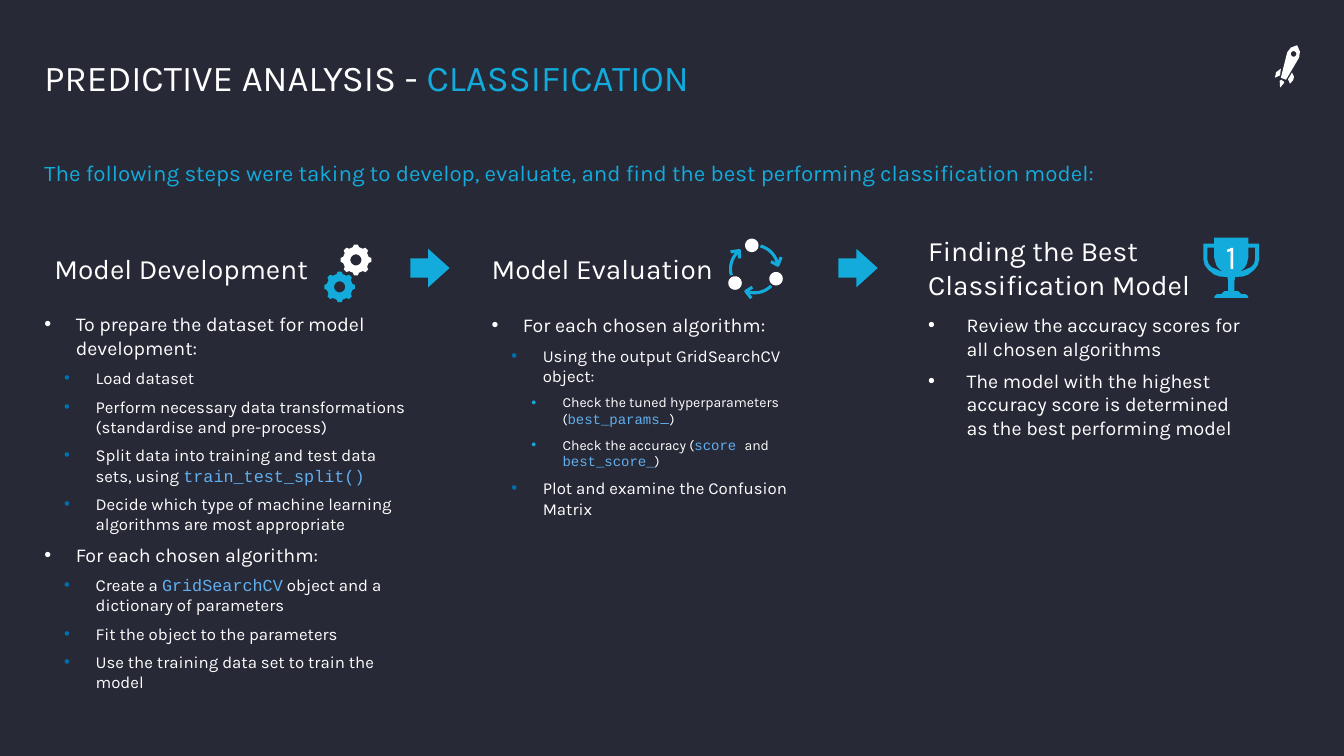
import math

import pptx
import pptx.dml.color
import pptx.enum.shapes
import pptx.enum.text
import pptx.oxml
import pptx.oxml.ns
import pptx.util

Cm, Pt = pptx.util.Cm, pptx.util.Pt
RGB = pptx.dml.color.RGBColor.from_string
SHAPE = pptx.enum.shapes.MSO_SHAPE
ANCHOR = pptx.enum.text.MSO_ANCHOR
ALIGN = pptx.enum.text.PP_ALIGN

THEME = {
    "bg": "272936", "accent": "12ABDB", "white": "FFFFFF",
    "title": 26, "intro": 16, "heading": 20, "trophy": 24,
    "body": [14, 12, 10],
    "bullet": ["FFFFFF", "0070AD", "12ABDB"],
    # Run styles: plain, accent, code, code colour in the text font
    "p": ("Karla", "FFFFFF"), "a": ("Karla", "12ABDB"),
    "c": ("Courier New", "61AFEF"), "k": ("Karla", "61AFEF"),
}


def write(text, tf, size=None, level=None, styles="pcpcp", hang=0.79, after=6, spacing=None, align=None):
    """Add a paragraph; backticks part the runs, styles names each run's look."""
    p = tf.paragraphs[0] if not tf.text else tf.add_paragraph()
    p.space_after, p.line_spacing, p.alignment = Pt(after), spacing, align
    if level is not None:
        size = THEME["body"][level]
        p.level = level
        pPr = p._p.get_or_add_pPr()
        pPr.set("marL", str(Cm(hang + 0.5 * level)))
        pPr.set("indent", str(-Cm(hang)))
        ns = pptx.oxml.ns.nsdecls("a")
        for xml in (f'<a:buClr {ns}><a:srgbClr val="{THEME["bullet"][level]}"/></a:buClr>',
                    f'<a:buFont {ns} typeface="Arial"/>', f'<a:buChar {ns} char="•"/>'):
            pPr.append(pptx.oxml.parse_xml(xml))
    for part, style in zip(text.split("`"), styles):
        r = p.add_run()
        r.text = part
        r.font.size = Pt(size)
        r.font.name, color = THEME[style]
        r.font.color.rgb = RGB(color)


def outline(contours, color, stroke=None):
    """Draw contours given in cm as one filled shape, or as open strokes."""
    fb = None
    for contour in contours:
        pts = [(x * 1000, y * 1000) for x, y in contour]
        if fb is None:
            fb = s.shapes.build_freeform(*pts[0], scale=Cm(1) / 1000)
        else:
            fb.move_to(*pts[0])
        fb.add_line_segments(pts[1:], close=stroke is None)
    sp = fb.convert_to_shape()
    sp.shadow.inherit = False
    if stroke:
        sp.fill.background()
        sp.line.color.rgb = RGB(color)
        sp.line.width = Pt(stroke)
    else:
        sp.fill.solid()
        sp.fill.fore_color.rgb = RGB(color)
        sp.line.fill.background()
    return sp


prs = pptx.Presentation()
prs.slide_width, prs.slide_height = Cm(33.87), Cm(19.05)
s = prs.slides.add_slide(prs.slide_layouts[6])
s.background.fill.solid()
s.background.fill.fore_color.rgb = RGB(THEME["bg"])

# Text boxes: left, top, width, height, anchor, whether the box has margins
boxes = {
    "title": (1.12, 0.53, 30.4, 1.98, ANCHOR.BOTTOM, False),
    "intro": (1.12, 4.01, 31.67, 1.93, ANCHOR.TOP, False),
    "develop head": (1.12, 5.79, 9.6, 1.96, ANCHOR.MIDDLE, True),
    "develop": (1.12, 7.87, 9.22, 9.45, ANCHOR.TOP, False),
    "evaluate head": (12.14, 5.89, 7.09, 1.75, ANCHOR.MIDDLE, True),
    "evaluate": (12.14, 7.77, 8.99, 9.55, ANCHOR.TOP, True),
    "best head": (23.14, 5.77, 9.6, 2.01, ANCHOR.TOP, True),
    "best": (23.14, 7.77, 8.59, 9.55, ANCHOR.TOP, True),
}
frames = {}
for name, (x, y, w, h, anchor, margins) in boxes.items():
    tf = s.shapes.add_textbox(Cm(x), Cm(y), Cm(w), Cm(h)).text_frame
    tf.word_wrap, tf.vertical_anchor = True, anchor
    if not margins:
        tf.margin_left = tf.margin_top = tf.margin_right = tf.margin_bottom = 0
    frames[name] = tf

# Title, introduction and column headings
write("PREDICTIVE ANALYSIS - `CLASSIFICATION", frames["title"], size=THEME["title"], styles="pa", after=0, spacing=0.9)
write("The following steps were taking to develop, evaluate, and find the best performing classification model:",
      frames["intro"], size=THEME["intro"], styles="a")
for name, heading in (("develop head", "Model Development"), ("evaluate head", "Model Evaluation"),
                      ("best head", "Finding the Best Classification Model")):
    write(heading, frames[name], size=THEME["heading"])

# Column bullets
for level, text in (
    (0, "To prepare the dataset for model development:"),
    (1, "Load dataset"),
    (1, "Perform necessary data transformations (standardise and pre-process)"),
    (1, "Split data into training and test data sets, using `train_test_split()"),
    (1, "Decide which type of machine learning algorithms are most appropriate"),
    (0, "For each chosen algorithm:"),
    (1, "Create a `GridSearchCV` object and a dictionary of parameters"),
    (1, "Fit the object to the parameters"),
    (1, "Use the training data set to train the model"),
):
    write(text, frames["develop"], level=level)
for level, text, styles in (
    (0, "For each chosen algorithm:", "p"),
    (1, "Using the output GridSearchCV object:", "p"),
    (2, "Check the tuned hyperparameters (`best_params`_`)", "pckp"),
    (2, "Check the accuracy (`score `and `best_score_`)", "pcpcp"),
    (1, "Plot and examine the Confusion Matrix", "p"),
):
    write(text, frames["evaluate"], level=level, styles=styles)
for text in ("Review the accuracy scores for all chosen algorithms",
             "The model with the highest accuracy score is determined as the best performing model"):
    write(text, frames["best"], level=0, hang=0.97)

# Arrows between the columns
for x in (10.34, 21.13):
    sp = s.shapes.add_shape(SHAPE.RIGHT_ARROW, Cm(x), Cm(6.27), Cm(0.99), Cm(0.97))
    sp.adjustments[1] = 0.553
    sp.shadow.inherit = False
    sp.fill.solid()
    sp.fill.fore_color.rgb = RGB(THEME["accent"])
    sp.line.fill.background()

circle = [(math.cos(math.radians(a)), math.sin(math.radians(a))) for a in range(0, 360, 15)]

# Gears: eight teeth around a hole
teeth = [(r, math.radians(45 * i + a)) for i in range(8)
         for r, a in ((0.33, -13.5), (0.39, -7), (0.39, 7), (0.33, 13.5))]
for cx, cy, color in ((8.97, 6.55, "white"), (8.56, 7.23, "accent")):
    outline([[(cx + r * math.cos(a), cy + r * math.sin(a)) for r, a in teeth],
             [(cx + 0.14 * x, cy + 0.14 * y) for x, y in circle]], THEME[color])

# Cycle: three curved arrows and three dots on one ring
cx, cy, radius = 19.01, 6.78, 0.6
for start in (-75, 45, 165):
    tip = start + 66
    arc = [(radius, a) for a in range(start, tip + 1, 6)]
    head = [(radius - 0.14, tip - 15), (radius, tip), (radius + 0.14, tip - 15)]
    outline([[(cx + r * math.cos(math.radians(a)), cy + r * math.sin(math.radians(a))) for r, a in line]
             for line in (arc, head)], THEME["accent"], stroke=2.2)
    dot = math.radians(start - 21)
    dx, dy = cx + radius * math.cos(dot), cy + radius * math.sin(dot)
    outline([[(dx + 0.17 * x, dy + 0.17 * y) for x, y in circle]], THEME["white"])

# Trophy: right half mirrored about its axis
cx, top = 31.03, 5.99
cup = [(0.43, 0), (0.43, 0.15), (0.7, 0.15), (0.7, 0.56), (0.67, 0.69), (0.58, 0.81), (0.43, 0.93), (0.28, 0.98),
       (0.1, 0.99), (0.08, 1.09), (0.08, 1.35), (0.18, 1.35), (0.25, 1.42), (0.36, 1.42), (0.42, 1.47), (0.43, 1.52)]
handle = [(0.43, 0.25), (0.6, 0.25), (0.6, 0.56), (0.57, 0.66), (0.5, 0.74), (0.22, 0.86),
          (0.33, 0.76), (0.38, 0.69), (0.43, 0.51)]
halves = [cup + [(-x, y) for x, y in reversed(cup)], handle, [(-x, y) for x, y in handle]]
tf = outline([[(cx + x, top + y) for x, y in half] for half in halves], THEME["accent"]).text_frame
tf.margin_left = tf.margin_top = tf.margin_right = 0
tf.margin_bottom = Cm(0.61)
tf.vertical_anchor = ANCHOR.MIDDLE
write("1", tf, size=THEME["trophy"], after=0, align=ALIGN.CENTER)

# Rocket: flame, two fins, body and window
outline([
    [(32.26, 2.21), (32.25, 2.04), (32.29, 2.01), (32.36, 2.06), (32.36, 2.09)],
    [(32.51, 2.11), (32.46, 2), (32.56, 1.83), (32.61, 1.93), (32.59, 2.02)],
    [(32.13, 1.96), (32.16, 1.82), (32.28, 1.73), (32.26, 1.9)],
    [(32.28, 1.96), (32.44, 1.32), (32.53, 1.2), (32.69, 1.14), (32.76, 1.3), (32.74, 1.45), (32.41, 2.01)],
    [(32.6 + 0.07 * x, 1.36 + 0.07 * y) for x, y in circle],
], THEME["white"])

prs.save("out.pptx")
